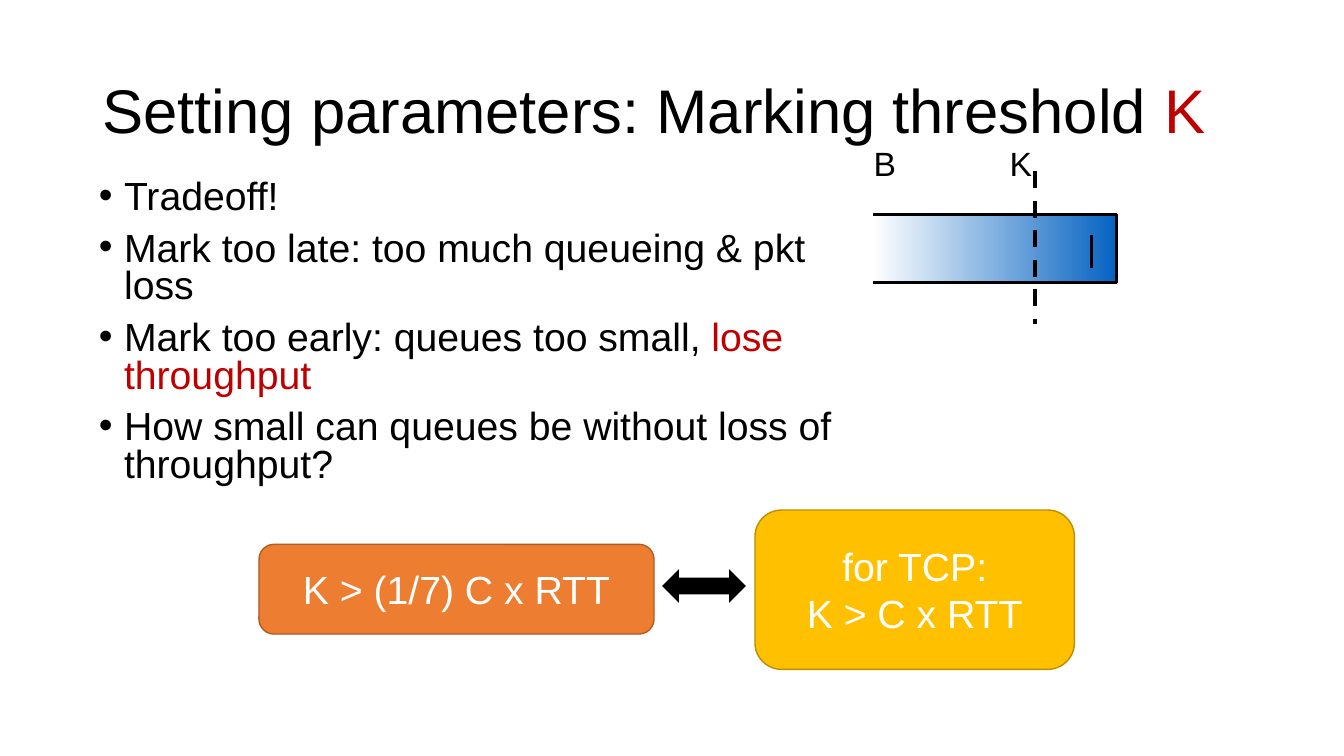
from dataclasses import dataclass

from lxml import etree
from pptx import Presentation
from pptx import util as u
from pptx.dml.color import RGBColor
from pptx.enum import dml, shapes, text
from pptx.oxml import ns

COLOURS = {
    "black": "000000",
    "white": "FFFFFF",
    "red": "C00000",
    "orange": "ED7D31",
    "orange edge": "AF5C24",
    "gold": "FFC000",
    "gold edge": "BD8E00",
    "queue blue": "0563C1",
}
FONT = "Arial"


@dataclass
class Run:
    words: str
    colour: str = "black"


@dataclass
class Box:
    """A rounded formula box; lengths in points."""
    left: float
    top: float
    width: float
    height: float
    fill: str
    edge: str
    lines: list[str]


@dataclass
class Label:
    words: str
    left: float


TITLE = [Run("Setting parameters: Marking threshold "), Run("K", "red")]
BULLETS = [
    [Run("Tradeoff!")],
    [Run("Mark too late: too much queueing & pkt loss")],
    [Run("Mark too early: queues too small, "), Run("lose throughput", "red")],
    [Run("How small can queues be without loss of throughput?")],
]
BOXES = [
    Box(185, 388.8, 282.2, 64.1, "orange", "orange edge", ["K > (1/7) C x RTT"]),
    Box(539.3, 364.3, 228.2, 113.8, "gold", "gold edge", ["for TCP:", "K > C x RTT"]),
]
LABELS = [Label("B", 617), Label("K", 714.2)]


def rgb(name: str) -> RGBColor:
    return RGBColor.from_string(COLOURS[name])


def place(shape, left: float, top: float, width: float, height: float) -> None:
    shape.left, shape.top = u.Pt(left), u.Pt(top)
    shape.width, shape.height = u.Pt(width), u.Pt(height)


def write(frame, paragraphs: list[list[Run]], *, size: float,
          align=text.PP_ALIGN.LEFT, anchor=text.MSO_ANCHOR.TOP, wrap: bool = True,
          fit=text.MSO_AUTO_SIZE.NONE, spacing: float = 1.0,
          before: float = 0, bullet: bool = False) -> None:
    frame.word_wrap, frame.auto_size, frame.vertical_anchor = wrap, fit, anchor
    for index, runs in enumerate(paragraphs):
        paragraph = frame.add_paragraph() if index else frame.paragraphs[0]
        paragraph.alignment = align
        paragraph.line_spacing = spacing
        paragraph.space_before = u.Pt(before if index else 0)
        if bullet:
            add_bullet(paragraph)
        for item in runs:
            run = paragraph.add_run()
            run.text = item.words
            run.font.name, run.font.size = FONT, u.Pt(size)
            run.font.color.rgb = rgb(item.colour)


def add_bullet(paragraph, indent: float = 18) -> None:
    properties = paragraph._p.get_or_add_pPr()
    properties.set("marL", str(u.Pt(indent)))
    properties.set("indent", str(-u.Pt(indent)))
    etree.SubElement(properties, ns.qn("a:buFont"), typeface=FONT)
    etree.SubElement(properties, ns.qn("a:buChar"), char="•")


def add_vertical_line(parent, x: float, top: float, bottom: float, weight: float):
    line = parent.add_connector(shapes.MSO_CONNECTOR.STRAIGHT,
                                u.Pt(x), u.Pt(top), u.Pt(x), u.Pt(bottom))
    line.line.color.rgb, line.line.width = rgb("black"), u.Pt(weight)
    etree.SubElement(line._element.spPr, ns.qn("a:effectLst"))
    return line


def add_filled_shape(slide, kind, left: float, top: float, width: float,
                     height: float, fill: str):
    shape = slide.shapes.add_shape(kind, u.Pt(left), u.Pt(top), u.Pt(width), u.Pt(height))
    shape.shadow.inherit = False
    shape.fill.solid()
    shape.fill.fore_color.rgb = rgb(fill)
    return shape


def add_box(slide, box: Box) -> None:
    shape = add_filled_shape(slide, shapes.MSO_SHAPE.ROUNDED_RECTANGLE,
                             box.left, box.top, box.width, box.height, box.fill)
    shape.line.color.rgb, shape.line.width = rgb(box.edge), u.Pt(1)
    write(shape.text_frame, [[Run(line, "white")] for line in box.lines], size=28,
          align=text.PP_ALIGN.CENTER, anchor=text.MSO_ANCHOR.MIDDLE)


def add_label(slide, label: Label) -> None:
    box = slide.shapes.add_textbox(u.Pt(label.left), u.Pt(98.6), u.Pt(28.8), u.Pt(36))
    write(box.text_frame, [[Run(label.words)]], size=24, wrap=False,
          fit=text.MSO_AUTO_SIZE.SHAPE_TO_FIT_TEXT)


def add_queue(slide) -> None:
    """Draw the queue, open on its left, with a packet mark inside."""
    left, top, right, bottom = 623.5, 153.4, 797.4, 201.6
    group = slide.shapes.add_group_shape()
    builder = group.shapes.build_freeform(u.Pt(left), u.Pt(top))
    corners = [(right, top), (right, bottom), (left, bottom)]
    builder.add_line_segments([(u.Pt(x), u.Pt(y)) for x, y in corners], close=False)
    queue = builder.convert_to_shape()
    queue.shadow.inherit = False
    queue.fill.gradient()
    queue.fill.gradient_angle = 0
    for stop, colour, position in zip(queue.fill.gradient_stops, ("white", "queue blue"), (0, 1)):
        stop.color.rgb, stop.position = rgb(colour), position
    queue.line.color.rgb, queue.line.width = rgb("black"), u.Pt(2.25)
    add_vertical_line(group.shapes, 779.6, 167.8, 191.5, 2.25)


def main() -> None:
    presentation = Presentation()
    presentation.slide_width, presentation.slide_height = u.Pt(960), u.Pt(540)
    slide = presentation.slides.add_slide(presentation.slide_layouts[1])
    title, body = slide.placeholders

    for box in BOXES:
        add_box(slide, box)
    arrow = add_filled_shape(slide, shapes.MSO_SHAPE.LEFT_RIGHT_ARROW,
                             473, 406.6, 59.8, 24, "black")
    arrow.line.fill.background()

    place(title, 66, 28.8, 828, 104.4)
    write(title.text_frame, [TITLE], size=44, anchor=text.MSO_ANCHOR.MIDDLE, spacing=0.9)
    for label in LABELS:
        add_label(slide, label)
    add_queue(slide)
    threshold = add_vertical_line(slide.shapes, 739.4, 122.4, 231.1, 3)
    threshold.line.dash_style = dml.MSO_LINE.DASH
    place(body, 63.4, 125.3, 567.4, 236.9)
    write(body.text_frame, BULLETS, size=28, spacing=0.8, before=10, bullet=True)

    presentation.save("out.pptx")


if __name__ == "__main__":
    main()
